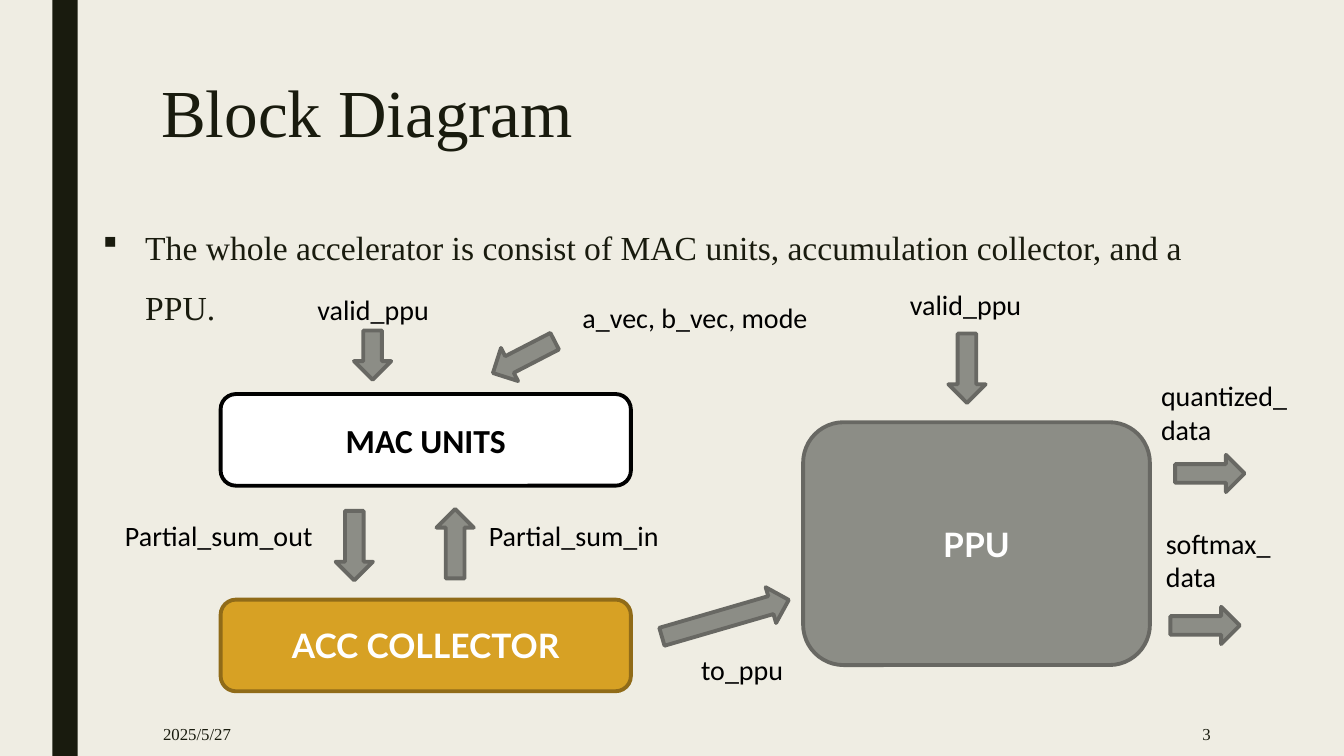
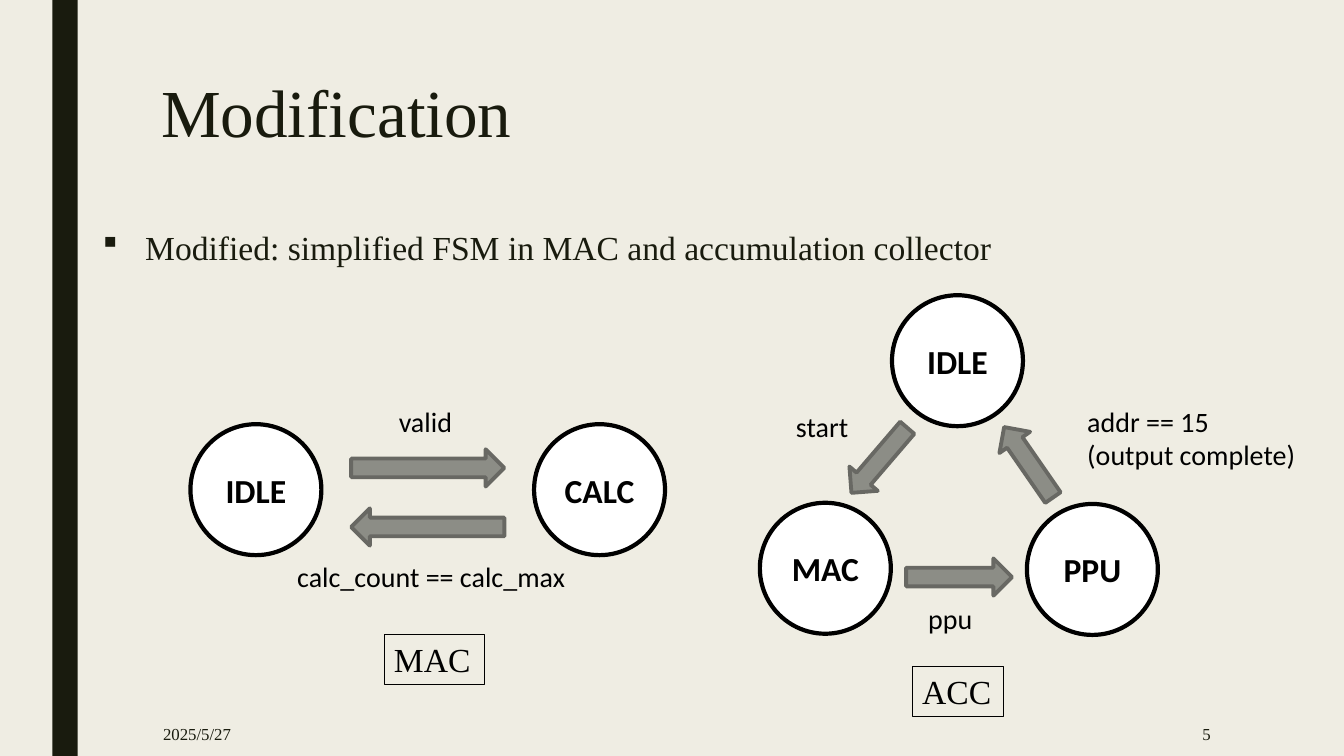
from lxml.etree import SubElement
from pptx import Presentation
from pptx.dml.color import RGBColor as Rgb
from pptx.enum.shapes import MSO_SHAPE as Kind
from pptx.enum.text import MSO_ANCHOR as Anchor, PP_ALIGN as Align
from pptx.oxml.ns import qn
from pptx.util import Cm, Pt

COLORS = {
    "paper": "EFEDE3", "ink": "191B0E", "black": "000000", "white": "FFFFFF",
    "gold": "D7A124", "bronze": "906B18", "gray": "8C8D86", "slate": "686863",
}
SERIF, SANS, LATO = "Times New Roman", "Calibri", "Lato"
DATE = "2025/5/27"
THICK = 2.75
ARROW = 0.94
DISC = 3.3


def draw(home, kind, box, fill=None, line=None, width=THICK):
    shape = home.add_shape(kind, *[Cm(n) for n in box])
    shape.shadow.inherit = False
    if fill:
        shape.fill.solid()
        shape.fill.fore_color.rgb = Rgb.from_string(COLORS[fill])
    else:
        shape.fill.background()
    if line:
        shape.line.color.rgb = Rgb.from_string(COLORS[line])
        shape.line.width = Pt(width)
    else:
        shape.line.fill.background()
    return shape


def write(shape, text, size, font=SANS, color="black", bold=False,
          align=Align.LEFT, anchor=Anchor.TOP):
    frame = shape.text_frame
    frame.word_wrap = True
    frame.vertical_anchor = anchor
    frame.text = text
    for par in frame.paragraphs:
        par.alignment = align
        par.font.size = Pt(size)
        par.font.name = font
        par.font.bold = bold
        par.font.color.rgb = Rgb.from_string(COLORS[color])
    return frame.paragraphs[0]


PAGES = [
    {
        "title": "Block Diagram",
        "point": "The whole accelerator is consist of MAC units, "
                 "accumulation collector, and a PPU.",
        "number": "3",
        "blocks": [
            ("MAC UNITS", (5.56, 9.93, 10.34, 2.31), "white", "black", SANS, "black"),
            ("ACC COLLECTOR", (5.56, 15.11, 10.34, 2.31), "gold", "bronze", LATO, "white"),
            ("PPU", (20.24, 10.64, 8.74, 6.12), "gray", "slate", LATO, "white"),
        ],
        "parts": [{
            "discs": [],
            "arrows": [
                (8.93, 13.75, 1.75, 0), (11.47, 13.7, 1.75, 180),
                (18.28, 15.58, 3.33, 253.8), (13.2, 9, 1.75, 62.7),
                (24.37, 9.28, 1.75, 0), (30.49, 11.93, 1.75, 270),
                (30.37, 15.76, 1.75, 270), (9.39, 8.95, 1.24, 0),
            ],
            "labels": [
                ("Partial_sum_out", 2.9, 12.93, 5.56),
                ("Partial_sum_in", 12.07, 12.93, 5.56),
                ("to_ppu", 17.42, 16.33, 3.05),
                ("a_vec, b_vec, mode", 14.43, 7.44, 6.45),
                ("valid_ppu", 22.68, 7.11, 3.56),
                ("quantized_data", 29.01, 9.42, 3.96),
                ("softmax_data", 29.13, 13.13, 3.43),
                ("valid_ppu", 7.75, 7.24, 3.56),
            ],
        }],
        "tags": [],
    },
    {
        "title": "Modification",
        "point": "Modified: simplified FSM in MAC and accumulation collector",
        "number": "5",
        "blocks": [],
        "parts": [
            {
                "discs": [("IDLE", 4.8, 10.69), ("CALC", 13.46, 10.69)],
                "arrows": [(10.78, 11.79, 3.86, 270), (10.78, 13.28, 3.86, 90)],
                "labels": [
                    ("valid", 9.8, 10.06, 1.98),
                    ("calc_count == calc_max", 7.24, 13.97, 7.42),
                ],
            },
            {
                "discs": [("IDLE", 22.48, 7.44), ("MAC", 19.15, 12.67),
                          ("PPU", 25.88, 12.7)],
                "arrows": [
                    (25.92, 11.65, 2.16, 145.3), (24.17, 14.54, 2.67, 270),
                    (22.16, 11.6, 2.16, 40.6),
                ],
                "labels": [
                    ("start", 19.81, 10.19, 1.98),
                    ("ppu", 23.14, 15.04, 1.98),
                    ("addr == 15\n(output complete)", 27.15, 10.06, 6.6),
                ],
            },
        ],
        "tags": [("MAC", 9.68, 15.98, 2.54), ("ACC", 22.99, 16.79, 2.29)],
    },
]

deck = Presentation()
deck.slide_width, deck.slide_height = Cm(33.87), Cm(19.05)
back = deck.slide_master.background.fill
back.solid()
back.fore_color.rgb = Rgb.from_string(COLORS["paper"])

for page in PAGES:
    slide = deck.slides.add_slide(deck.slide_layouts[6])
    shapes = slide.shapes
    draw(shapes, Kind.RECTANGLE, (1.32, 0, 0.64, 19.05), "ink")

    title = shapes.add_textbox(Cm(3.81), Cm(1.9), Cm(26.67), Cm(4.11))
    write(title, page["title"], 48, SERIF, "ink").line_spacing = 0.89

    body = shapes.add_textbox(Cm(2.34), Cm(5.08), Cm(29.39), Cm(12.09))
    point = write(body, page["point"], 24, SERIF, "ink")
    point.line_spacing = 1.5
    point.space_before, point.space_after = Pt(10), Pt(2)
    props = point._p.get_or_add_pPr()
    props.set("marL", str(Cm(1.07)))
    props.set("indent", str(-Cm(1.07)))
    bullet = [("a:buFont", "typeface", "Wingdings"), ("a:buChar", "char", "§")]
    for spot, (tag, key, value) in enumerate(bullet, 3):
        item = SubElement(props, qn(tag))
        item.set(key, value)
        props.insert(spot, item)

    for text, left, width, align in [
        (DATE, 3.86, 3.35, Align.LEFT),
        (page["number"], 26.31, 4.45, Align.RIGHT),
    ]:
        foot = shapes.add_textbox(Cm(left), Cm(17.93), Cm(width), Cm(1.12))
        write(foot, text, 12, SERIF, "ink", align=align, anchor=Anchor.MIDDLE)

    for text, box, fill, line, font, color in page["blocks"]:
        block = draw(shapes, Kind.ROUNDED_RECTANGLE, box, fill, line)
        write(block, text, 24, font, color, True, Align.CENTER, Anchor.MIDDLE)

    for part in page["parts"]:
        home = shapes.add_group_shape().shapes
        for text, left, top in part["discs"]:
            disc = draw(home, Kind.OVAL, (left, top, DISC, DISC), "white", "black", 3)
            write(disc, text, 24, bold=True, align=Align.CENTER, anchor=Anchor.MIDDLE)
        for x, y, size, angle in part["arrows"]:
            box = (x - ARROW / 2, y - size / 2, ARROW, size)
            draw(home, Kind.DOWN_ARROW, box, "gray", "slate").rotation = angle
        for text, left, top, width in part["labels"]:
            label = home.add_textbox(Cm(left), Cm(top), Cm(width), Cm(1.12))
            write(label, text, 20)

    for text, left, top, width in page["tags"]:
        tag = draw(shapes, Kind.RECTANGLE, (left, top, width, 1.27), None, "black", 0.75)
        write(tag, text, 24, SERIF)

deck.save("out.pptx")
